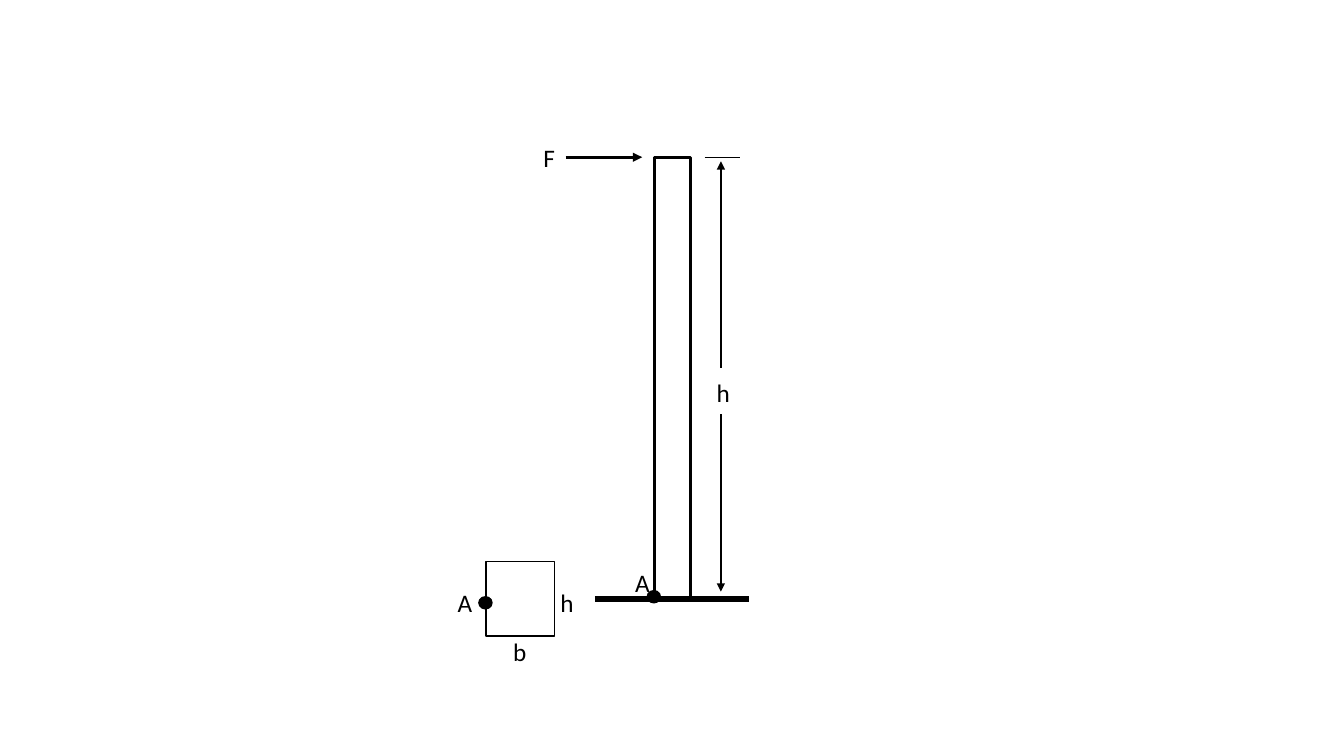
from lxml import etree
from pptx import Presentation
from pptx import util as u
from pptx.dml.color import RGBColor
from pptx.enum import shapes, text
from pptx.oxml.ns import qn

BLACK = "000000"
SHAPE = shapes.MSO_SHAPE


def colour(hex_string):
    return RGBColor.from_string(hex_string)


def add_outline(slide, kind, left, top, width, height, weight=1, fill=None):
    shape = slide.shapes.add_shape(
        kind, *(u.Inches(n) for n in (left, top, width, height)))
    shape.shadow.inherit = False
    shape.line.color.rgb = colour(BLACK)
    shape.line.width = u.Pt(weight)
    if fill:
        shape.fill.solid()
        shape.fill.fore_color.rgb = colour(fill)
    else:
        shape.fill.background()
    return shape


def add_point(slide, x, y):
    add_outline(slide, SHAPE.OVAL, x - 0.06, y - 0.06, 0.13, 0.12, fill=BLACK)


def add_line(slide, start, end, weight=1, arrow=False):
    line = slide.shapes.add_connector(
        shapes.MSO_CONNECTOR.STRAIGHT, *(u.Inches(n) for n in (*start, *end)))
    line.line.color.rgb = colour(BLACK)
    line.line.width = u.Pt(weight)
    if arrow:
        etree.SubElement(line.line._get_or_add_ln(), qn("a:tailEnd"), type="triangle")
    etree.SubElement(line._element.spPr, qn("a:effectLst"))
    return line


def add_label(slide, letter, left, top, width=0.34):
    label = slide.shapes.add_textbox(
        *(u.Inches(n) for n in (left, top, width, 0.4)))
    frame = label.text_frame
    frame.word_wrap = False
    frame.auto_size = text.MSO_AUTO_SIZE.SHAPE_TO_FIT_TEXT
    run = frame.paragraphs[0].add_run()
    run.text = letter
    run.font.name = "Calibri"
    run.font.size = u.Pt(18)
    run.font.color.rgb = colour(BLACK)


def draw_column(slide, left, top, width, height):
    """Cantilever column with its load, support and height dimension."""
    base = top + height
    add_outline(slide, SHAPE.RECTANGLE, left, top, width, height, 2.25)

    # Horizontal force at the top
    add_line(slide, (left - 0.88, top), (left - 0.12, top), 2.25, arrow=True)
    add_label(slide, "F", left - 1.2, top - 0.2, 0.32)

    # Fixed support
    add_line(slide, (left - 0.59, base), (left + 0.94, base), 4.5)

    # Height dimension, broken around its letter
    dimension_x = left + width + 0.3
    add_line(slide, (dimension_x - 0.16, top), (dimension_x + 0.19, top))
    add_label(slide, "h", dimension_x - 0.14, top + 2.13, 0.3)
    for start, tip in ((top + 2.09, top + 0.04), (top + 2.55, base - 0.07)):
        add_line(slide, (dimension_x, start), (dimension_x, tip), arrow=True)

    # Point A at the foot
    add_label(slide, "A", left - 0.29, base - 0.36, 0.35)
    add_point(slide, left - 0.01, base - 0.02)


def draw_cross_section(slide, left, top, width, height):
    """Rectangular section with its sides and point A."""
    add_outline(slide, SHAPE.RECTANGLE, left, top, width, height)
    add_label(slide, "b", left + width / 2 - 0.17, top + height - 0.05)
    add_label(slide, "h", left + width - 0.04, top + 0.21)
    add_point(slide, left - 0.01, top + 0.41)
    add_label(slide, "A", left - 0.38, top + 0.21, 0.35)


def main():
    deck = Presentation()
    deck.slide_width, deck.slide_height = u.Inches(13.33), u.Inches(7.5)
    slide = deck.slides.add_slide(deck.slide_layouts[6])
    draw_column(slide, 6.49, 1.56, 0.36, 4.38)
    draw_cross_section(slide, 4.82, 5.57, 0.68, 0.74)
    deck.save("out.pptx")


if __name__ == "__main__":
    main()
